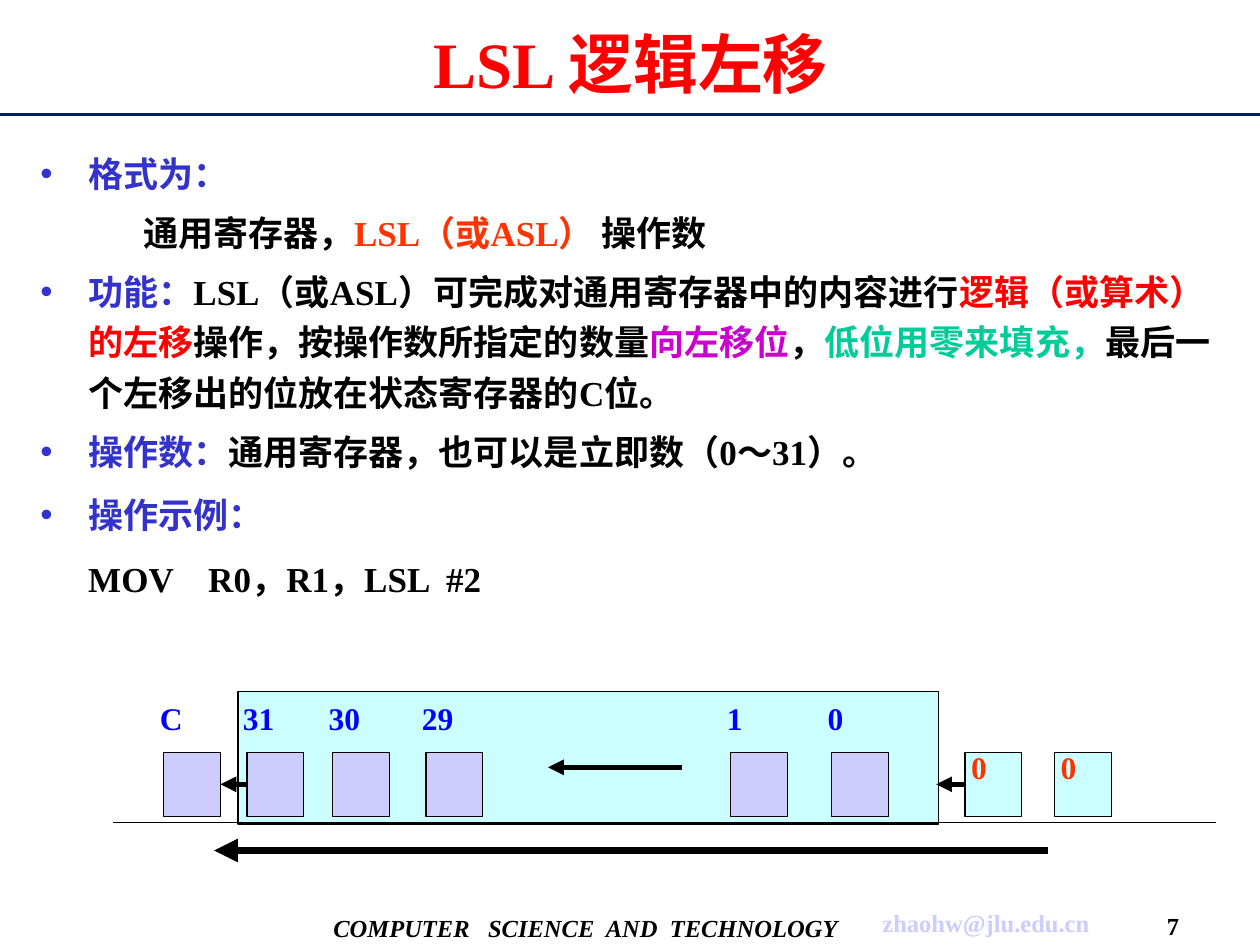
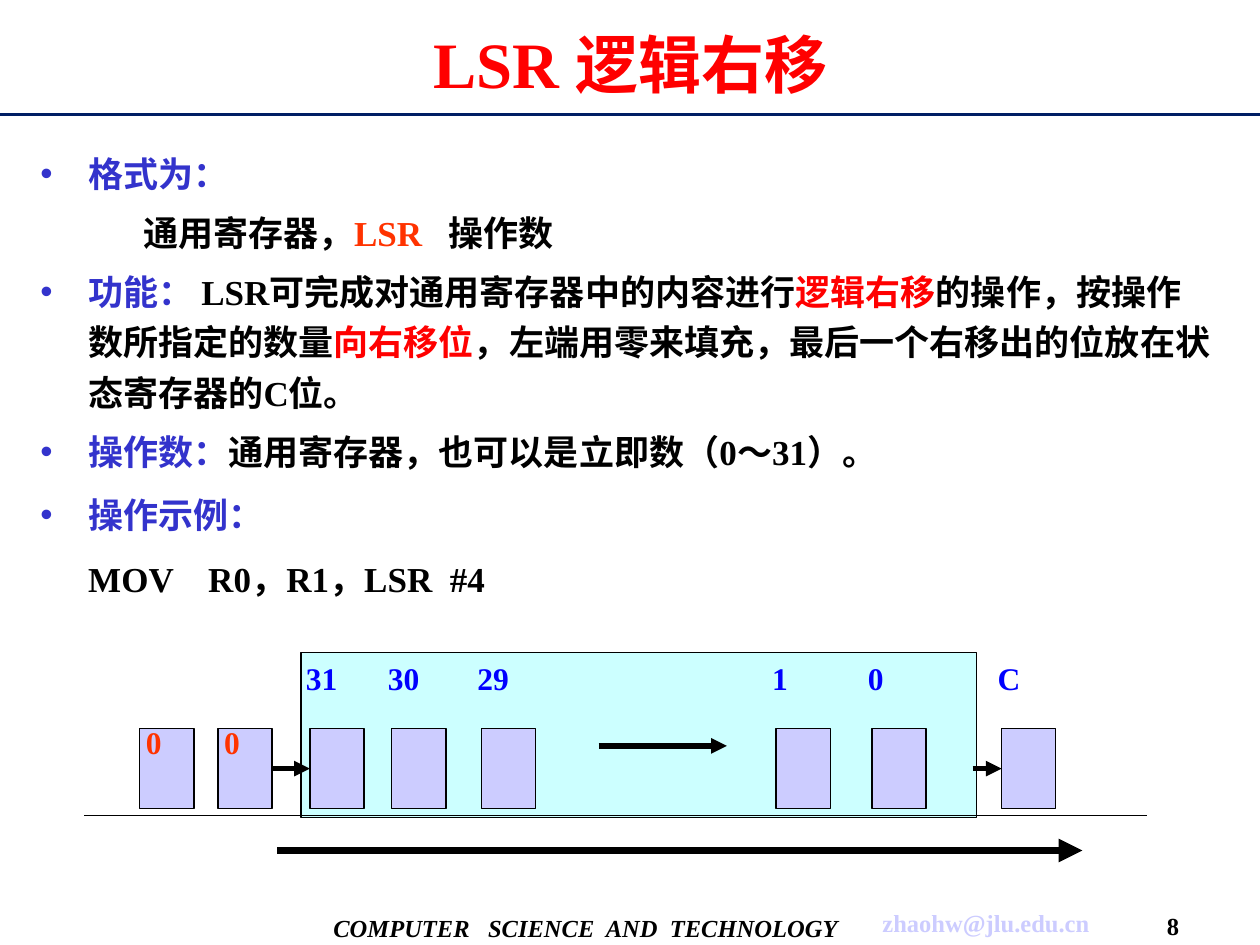
from lxml import etree
from pptx import Presentation
from pptx.dml.color import RGBColor
from pptx.enum.lang import MSO_LANGUAGE_ID as LANG
from pptx.enum.shapes import MSO_CONNECTOR, MSO_SHAPE
from pptx.enum.text import MSO_ANCHOR as ANCHOR, MSO_AUTO_SIZE, PP_ALIGN as ALIGN
from pptx.oxml.ns import qn
from pptx.util import Inches, Pt

FONT = "Times New Roman"
COLORS = {
    "black": "000000", "navy": "001E64", "red": "FF0000", "heading": "3333CC",
    "orange": "FF3300", "magenta": "CC00CC", "green": "00CC99", "bit": "0000FF",
    "lavender": "CCCCFF", "cyan": "CCFFFF",
}
RGB = {name: RGBColor.from_string(value) for name, value in COLORS.items()}
LEFT_SIDE, RIGHT_SIDE = 1, 3

# Body paragraphs: (style, runs); every run is (text, colour)
OPERAND = ("bullet", [("操作数：", "heading"),
                      ("通用寄存器，也可以是立即数（0～31）。", "black")])
EXAMPLE = ("bullet", [("操作示例：", "heading")])
FORMAT = ("bullet", [("格式为：", "heading")])
MARGINS = {"bullet": 0.38, "plain": 0.38, "deep": 0.82}

# Arrows: (start x, end x, y, width, joined start, joined end)
LESSONS = [
    {
        "number": "7",
        "title": [("LSL 逻辑左移", 37)],
        "body": [
            FORMAT,
            ("deep", [("通用寄存器，", "black"), ("LSL（或ASL）", "orange"),
                      (" 操作数", "black")]),
            ("bullet", [("功能：", "heading"),
                        ("LSL（或ASL）可完成对通用寄存器中的内容进行", "black"),
                        ("逻辑（或算术）的左移", "red"),
                        ("操作，按操作数所指定的数量", "black"),
                        ("向左移位", "magenta"), ("，", "black"),
                        ("低位用零来填充，", "green"),
                        ("最后一个左移出的位放在状态寄存器的C位。", "black")]),
            OPERAND, EXAMPLE,
            ("plain", [("MOV    R0，R1，LSL  #2", "black")]),
        ],
        "register": (1.89, 5.49, 5.56, 1.05),
        "cell": (5.97, 0.45, 0.51),
        "bits": {"C": 1.3, "31": 1.96, "30": 2.64, "29": 3.38, "1": 5.8, "0": 6.6},
        "bit_label_top": 5.5,
        "zeros": {"near": 7.66, "far": 8.37},
        "zero_label_top": 5.89,
        "zero_fill": "cyan",
        "baseline": (0.9, 9.65, 6.53),
        "arrows": [
            (5.41, 4.35, 6.09, 3, None, None),
            (8.32, 1.7, 6.75, 4.5, None, None),
            (1.99, 1.74, 6.23, 3, ("31", LEFT_SIDE), ("C", RIGHT_SIDE)),
            (7.67, 7.43, 6.23, 3, ("near", LEFT_SIDE), None),
        ],
    },
    {
        "number": "8",
        "title": [("LSR ", 37), ("逻辑右移", 36)],
        "body": [
            FORMAT,
            ("deep", [("通用寄存器，", "black"), ("LSR   ", "orange"),
                      ("操作数", "black")]),
            ("bullet", [("功能： ", "heading"),
                        ("LSR可完成对通用寄存器中的内容进行", "black"),
                        ("逻辑右移", "red"),
                        ("的操作，按操作数所指定的数量", "black"),
                        ("向右移位", "red"),
                        ("，左端用零来填充，最后一个右移出的位放在状态寄存器的C位。",
                         "black")]),
            OPERAND, EXAMPLE,
            ("plain", [("MOV    R0，R1，LSR  #4", "black")]),
        ],
        "register": (2.39, 5.18, 5.36, 1.31),
        "cell": (5.78, 0.43, 0.64),
        "bits": {"31": 2.46, "30": 3.11, "29": 3.82, "1": 6.16, "0": 6.92, "C": 7.95},
        "bit_label_top": 5.18,
        "zeros": {"near": 1.73, "far": 1.11},
        "zero_label_top": 5.69,
        "zero_fill": "lavender",
        "baseline": (0.67, 9.1, 6.47),
        "arrows": [
            (4.75, 5.77, 5.92, 3, None, None),
            (2.2, 8.59, 6.75, 4.5, None, None),
            (2.18, 2.42, 6.08, 3, ("near", RIGHT_SIDE), ("31", LEFT_SIDE)),
            (7.72, 7.97, 6.08, 3, None, ("C", LEFT_SIDE)),
        ],
    },
]

# Footer: (text, box, colour, italic); the page number joins them per slide
FOOTERS = [
    ("COMPUTER   SCIENCE  AND  TECHNOLOGY", (2.5, 7.22, 4.3, 0.28), "black", True),
    ("zhaohw@jlu.edu.cn", (6.87, 7.14, 1.91, 0.36), "lavender", False),
]
PAGE_BOX = (9.09, 7.19, 0.44, 0.31)


def add_label(slide, text, box, size, color, footer=False, italic=False):
    frame = slide.shapes.add_textbox(*map(Inches, box)).text_frame
    frame.word_wrap = True
    if footer:
        frame.margin_left = frame.margin_right = 0
        frame.margin_top = frame.margin_bottom = 0
    frame.vertical_anchor = ANCHOR.MIDDLE if footer else ANCHOR.TOP
    frame.text = text
    paragraph = frame.paragraphs[0]
    paragraph.alignment = ALIGN.CENTER if footer else ALIGN.JUSTIFY
    font = paragraph.runs[0].font
    font.name, font.size, font.bold, font.italic = FONT, Pt(size), True, italic
    font.color.rgb = RGB[color]


def add_line(slide, start, end, y, width, color="black", arrow=False):
    line = slide.shapes.add_connector(
        MSO_CONNECTOR.STRAIGHT, Inches(start), Inches(y), Inches(end), Inches(y))
    line.line.width = Pt(width)
    line.line.color.rgb = RGB[color]
    if arrow:
        etree.SubElement(line.line._get_or_add_ln(), qn("a:tailEnd"), type="triangle")
    etree.SubElement(line._element.spPr, qn("a:effectLst"))
    return line


prs = Presentation()
prs.slide_width, prs.slide_height = Inches(10), Inches(7.5)

for lesson in LESSONS:
    slide = prs.slides.add_slide(prs.slide_layouts[1])
    title, body = slide.placeholders[0], slide.placeholders[1]

    # Rule under the title and footer
    add_line(slide, 0, 10, 0.91, 1.75, "navy")
    for text, box, color, italic in FOOTERS + [(lesson["number"], PAGE_BOX, "black", False)]:
        add_label(slide, text, box, 14, color, footer=True, italic=italic)

    # Title
    title.left, title.top, title.width, title.height = map(Inches, (0.32, 0.08, 9.37, 0.83))
    title.text_frame.auto_size = MSO_AUTO_SIZE.NONE
    title.text_frame.vertical_anchor = ANCHOR.MIDDLE
    heading = title.text_frame.paragraphs[0]
    heading.alignment = ALIGN.CENTER
    for text, size in lesson["title"]:
        run = heading.add_run()
        run.text = text
        run.font.name, run.font.size, run.font.bold = FONT, Pt(size), True
        run.font.color.rgb = RGB["red"]

    # Explanation
    body.left, body.top, body.width, body.height = map(Inches, (0.22, 1.09, 9.52, 3.89))
    body.text_frame.auto_size = MSO_AUTO_SIZE.NONE
    for index, (style, runs) in enumerate(lesson["body"]):
        paragraph = body.text_frame.paragraphs[0] if index == 0 else body.text_frame.add_paragraph()
        props = paragraph._p.get_or_add_pPr()
        props.set("marL", str(Inches(MARGINS[style])))
        props.set("indent", str(Inches(-0.38 if style == "bullet" else 0)))
        if style == "bullet":
            bullet_color = etree.SubElement(props, qn("a:buClr"))
            etree.SubElement(bullet_color, qn("a:srgbClr"), val=COLORS["heading"])
            etree.SubElement(props, qn("a:buChar"), char="•")
        else:
            etree.SubElement(props, qn("a:buNone"))
        paragraph.line_spacing = 1.2
        paragraph.space_before = Pt(5 if index else 0)
        paragraph.space_after = Pt(2.5 if index > 2 else 0)
        for text, color in runs:
            run = paragraph.add_run()
            run.text = text
            run.font.name, run.font.size, run.font.bold = FONT, Pt(20), True
            run.font.language_id = LANG.SIMPLIFIED_CHINESE
            run.font.color.rgb = RGB[color]

    # Register frame, its bits and the zeros shifted in
    cell_top, cell_width, cell_height = lesson["cell"]
    boxes = [("register", lesson["register"], "cyan")]
    for places, fill in ((lesson["bits"], "lavender"), (lesson["zeros"], lesson["zero_fill"])):
        boxes += [(name, (x, cell_top, cell_width, cell_height), fill)
                  for name, x in places.items()]
    cells = {}
    for name, box, fill in boxes:
        cell = slide.shapes.add_shape(MSO_SHAPE.RECTANGLE, *map(Inches, box))
        cell.shadow.inherit = False
        cell.fill.solid()
        cell.fill.fore_color.rgb = RGB[fill]
        cell.line.color.rgb = RGB["black"]
        cell.line.width = Pt(0.75)
        cells[name] = cell
    for bit, x in lesson["bits"].items():
        add_label(slide, bit, (x - 0.13, lesson["bit_label_top"], 0.8, 0.67), 18, "bit")
    for x in lesson["zeros"].values():
        add_label(slide, "0", (x - 0.05, lesson["zero_label_top"], 0.44, 0.64), 18, "orange")

    # Baseline and shift direction
    add_line(slide, *lesson["baseline"], 0.75)
    for start, end, y, width, joined_start, joined_end in lesson["arrows"]:
        # A half-joined arrow stays level with the middle of its cell
        if joined_start or joined_end:
            y = cell_top + cell_height / 2
        shift = add_line(slide, start, end, y, width, arrow=True)
        if joined_start:
            shift.begin_connect(cells[joined_start[0]], joined_start[1])
        if joined_end:
            shift.end_connect(cells[joined_end[0]], joined_end[1])

prs.save("out.pptx")
